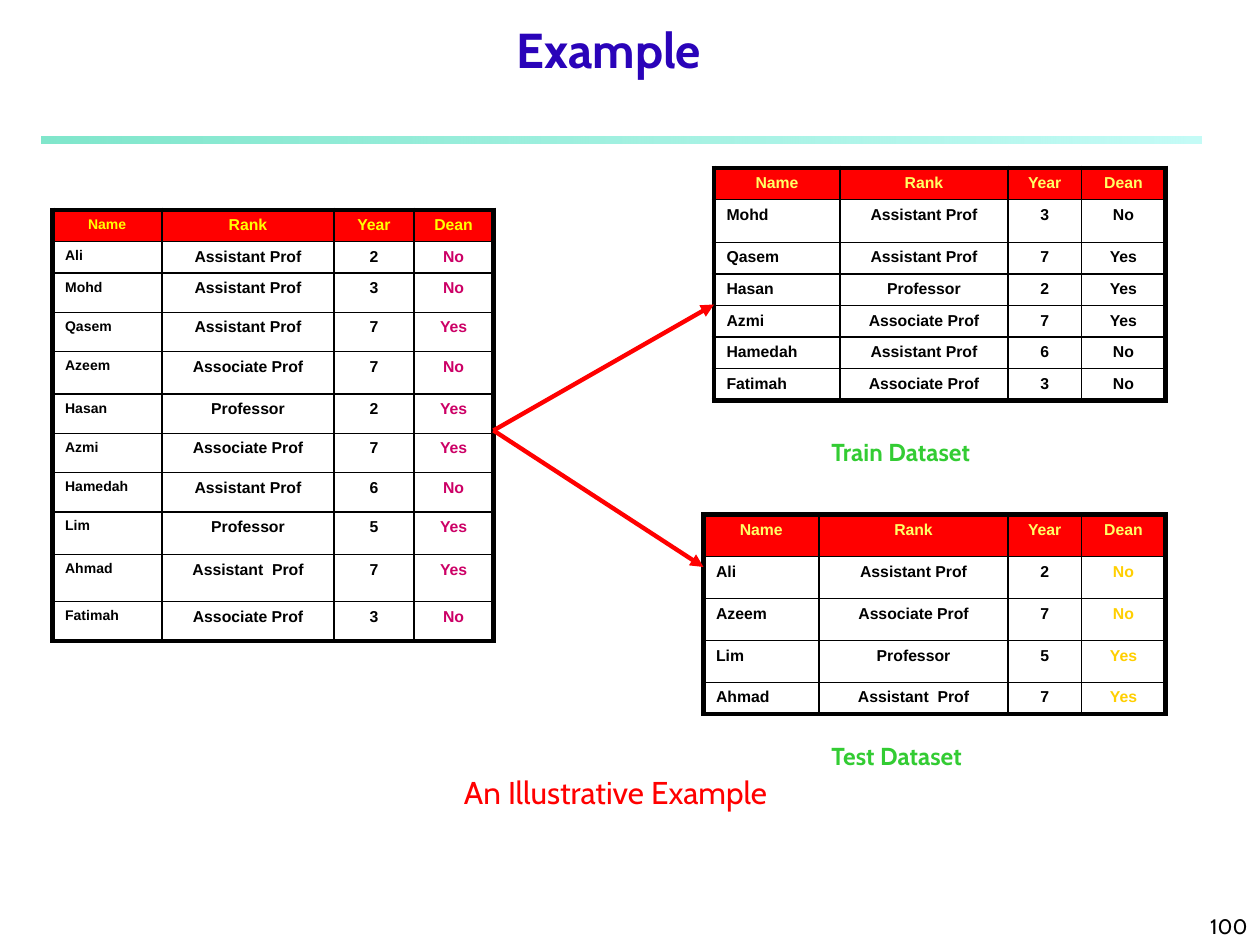
"""Build the slide that splits a staff table into train and test datasets."""
from dataclasses import dataclass

from lxml.etree import SubElement
from pptx import Presentation
from pptx.dml.color import RGBColor
from pptx.enum.shapes import MSO_CONNECTOR, MSO_SHAPE
from pptx.enum.text import MSO_ANCHOR, PP_ALIGN
from pptx.oxml.ns import qn
from pptx.util import Pt


@dataclass(frozen=True)
class Theme:
    """Hold the colours, fonts and type sizes of the slide."""
    title: str = "2A03B9"
    red: str = "FF0000"
    green: str = "33CC33"
    black: str = "000000"
    yellow: str = "FFFF00"
    pale_yellow: str = "FFFF66"
    magenta: str = "CC0066"
    gold: str = "FFCF01"
    rule: tuple = (("00CE98", 50), ("8FF9EF", 52))
    body_font: str = "Cabin"
    table_font: str = "Arial"
    title_size: float = 28
    note_size: float = 18
    caption_size: float = 14
    number_size: float = 12
    cell_size: float = 9
    name_size: float = 8
    inner_line: float = 1
    outer_line: float = 3
    arrow_line: float = 2.5


T = Theme()
HEADER = ("Name", "Rank", "Year", "Dean")
STAFF = (
    ("Ali", "Assistant Prof", "2", "No"),
    ("Mohd", "Assistant Prof", "3", "No"),
    ("Qasem", "Assistant Prof", "7", "Yes"),
    ("Azeem", "Associate Prof", "7", "No"),
    ("Hasan", "Professor", "2", "Yes"),
    ("Azmi", "Associate Prof", "7", "Yes"),
    ("Hamedah", "Assistant Prof", "6", "No"),
    ("Lim", "Professor", "5", "Yes"),
    ("Ahmad", "Assistant  Prof", "7", "Yes"),
    ("Fatimah", "Associate Prof", "3", "No"),
)
TEST_NAMES = ("Ali", "Azeem", "Lim", "Ahmad")
TEST = [row for row in STAFF if row[0] in TEST_NAMES]
TRAIN = [row for row in STAFF if row[0] not in TEST_NAMES]


def rgb(color):
    """Turn a hex string into a colour."""
    return RGBColor.from_string(color)


def write(p, text, size, color, font=T.body_font, bold=False, align=PP_ALIGN.LEFT):
    """Put one formatted run into a paragraph."""
    p.alignment = align
    r = p.add_run()
    r.text = text
    for name, value in {"size": Pt(size), "name": font, "bold": bold}.items():
        setattr(r.font, name, value)
    r.font.color.rgb = rgb(color)


def space_before(p, percent):
    """Set the space before a paragraph as a percentage of its line."""
    pPr = p._p.get_or_add_pPr()
    spacing = SubElement(pPr, qn("a:spcBef"))
    SubElement(spacing, qn("a:spcPct"), val=str(percent * 1000))
    pPr.insert(0, spacing)


def add_text(s, box, text, size, color, anchor=MSO_ANCHOR.TOP, before=0, **style):
    """Add a wrapped text box with one paragraph."""
    tf = s.shapes.add_textbox(*map(Pt, box)).text_frame
    for name, value in {"word_wrap": True, "vertical_anchor": anchor}.items():
        setattr(tf, name, value)
    p = tf.paragraphs[0]
    write(p, text, size, color, **style)
    if before:
        space_before(p, before)


def add_rule(s, box):
    """Add the translucent gradient bar below the title."""
    sp = s.shapes.add_shape(MSO_SHAPE.RECTANGLE, *map(Pt, box))
    sp.shadow.inherit = False
    sp.line.fill.background()
    sp.fill.gradient()
    sp.fill.gradient_angle = 0
    for stop, (color, _) in zip(sp.fill.gradient_stops, T.rule):
        stop.color.rgb = rgb(color)
    for clr, (_, alpha) in zip(sp._element.iter(qn("a:srgbClr")), T.rule):
        SubElement(clr, qn("a:alpha"), val=str(alpha * 1000))


def set_borders(cell, outer):
    """Draw the four cell borders, thick on the sides named in outer."""
    tcPr = cell._tc.get_or_add_tcPr()
    for i, side in enumerate("LRTB"):
        width = T.outer_line if side in outer else T.inner_line
        ln = SubElement(tcPr, qn(f"a:ln{side}"), w=str(Pt(width)))
        fill = SubElement(ln, qn("a:solidFill"))
        SubElement(fill, qn("a:srgbClr"), val=T.black)
        tcPr.insert(i, ln)


def add_staff_table(s, box, widths, heights, records, head, dean, name_size=T.cell_size):
    """Add a table of staff records with a red header row."""
    rows = [HEADER, *records]
    frame = s.shapes.add_table(len(rows), len(HEADER), *map(Pt, box))
    table = frame.table
    table.horz_banding = False
    for col, width in zip(table.columns, widths):
        col.width = Pt(width)
    for row, height in zip(table.rows, heights):
        row.height = Pt(height)
    frame.height = Pt(box[3])
    last_row, last_col = len(rows) - 1, len(HEADER) - 1
    for i, values in enumerate(rows):
        for j, text in enumerate(values):
            cell = table.cell(i, j)
            if i == 0:
                cell.fill.solid()
                cell.fill.fore_color.rgb = rgb(T.red)
            else:
                cell.fill.background()
            edges = {"L": j == 0, "R": j == last_col, "T": i == 0, "B": i == last_row}
            set_borders(cell, [side for side, on in edges.items() if on])
            p = cell.text_frame.paragraphs[0]
            write(p, text, name_size if j == 0 else T.cell_size,
                  head if i == 0 else dean if j == last_col else T.black,
                  font=T.table_font, bold=True,
                  align=PP_ALIGN.LEFT if i and j == 0 else PP_ALIGN.CENTER)
            p.space_after = Pt(4)
            space_before(p, 10)


def add_arrow(s, start, end):
    """Add a red line with a triangular head at its end."""
    sp = s.shapes.add_connector(MSO_CONNECTOR.STRAIGHT, *map(Pt, start + end))
    sp.line.width = Pt(T.arrow_line)
    sp.line.color.rgb = rgb(T.red)
    SubElement(sp.line._get_or_add_ln(), qn("a:tailEnd"), type="triangle")
    SubElement(sp._element.spPr, qn("a:effectLst"))


def main():
    """Build and save the slide."""
    prs = Presentation()
    prs.slide_width, prs.slide_height = Pt(720), Pt(540)
    s = prs.slides.add_slide(prs.slide_layouts[6])

    add_rule(s, (24, 78, 662.4, 4))
    add_text(s, (42, 24, 612, 24), "Example", T.title_size, T.title,
             anchor=MSO_ANCHOR.BOTTOM, bold=True, align=PP_ALIGN.CENTER)

    add_staff_table(s, (30, 120, 252, 246), (62.5, 98.5, 45.5, 45.5),
                    (18, 18, 22.4, 22.4, 24.4, 22.4, 22.4, 22.4, 24.4, 27, 22.4),
                    STAFF, T.yellow, T.magenta, T.name_size)
    add_staff_table(s, (408, 96, 258, 132.5), (72, 96, 42, 48),
                    (13.5, 24.4, *[13.5] * 5), TRAIN, T.pale_yellow, T.black)
    add_staff_table(s, (402, 294, 264, 114), (66, 108, 42, 48),
                    (*[24] * 4, 14.4), TEST, T.pale_yellow, T.gold)

    for end in ((408, 174), (402, 324)):
        add_arrow(s, (282, 246), end)
    for text, top in (("Train Dataset", 246), ("Test Dataset", 420)):
        add_text(s, (468, top, 132, 24), text, T.caption_size, T.green,
                 before=50, bold=True)
    add_text(s, (258, 438, 234, 29), "An Illustrative Example", T.note_size, T.red)
    add_text(s, (570, 510, 150, 30), "100", T.number_size, T.black,
             anchor=MSO_ANCHOR.BOTTOM, align=PP_ALIGN.RIGHT)
    prs.save("out.pptx")


if __name__ == "__main__":
    main()
